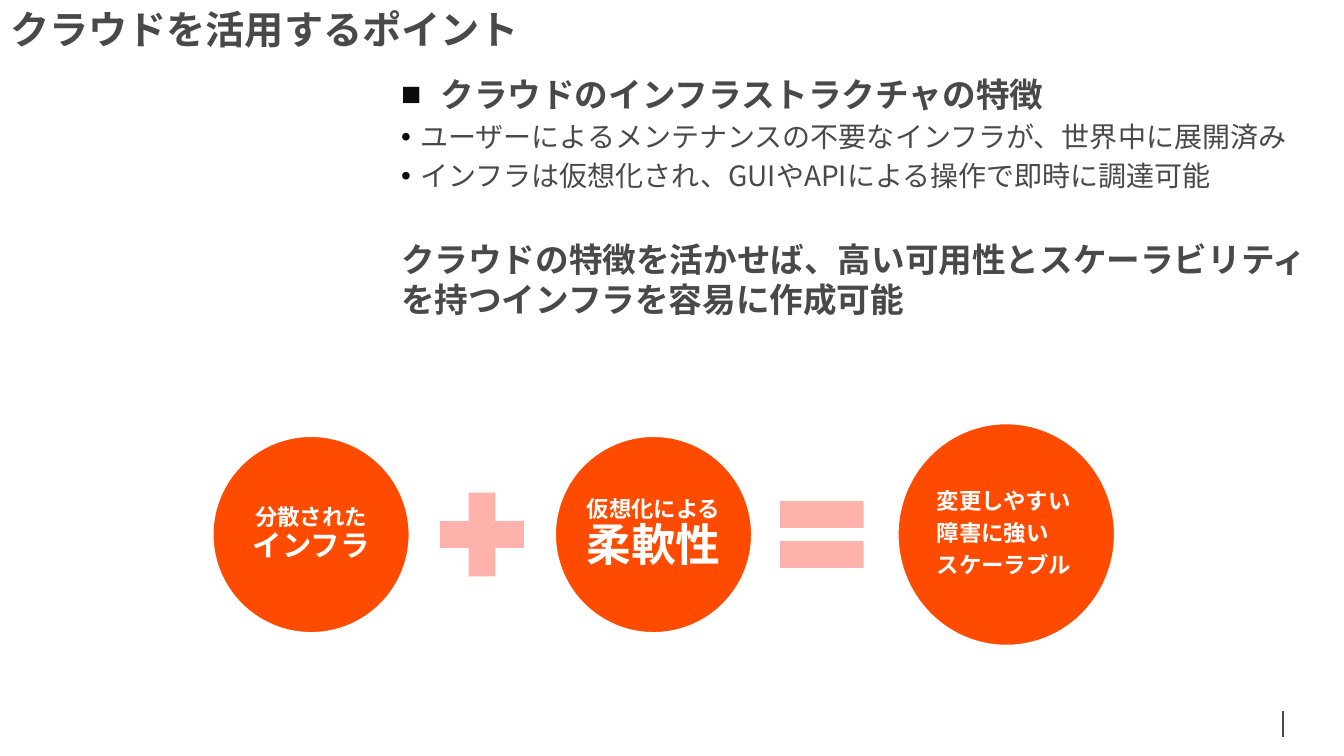
"""Build a slide on the key points of using the cloud."""
from dataclasses import dataclass
from math import sqrt

from lxml.etree import SubElement
from pptx import Presentation
from pptx.dml.color import RGBColor
from pptx.enum.lang import MSO_LANGUAGE_ID as Language
from pptx.enum.shapes import MSO_CONNECTOR as Connector, MSO_SHAPE as Shape
from pptx.enum.text import MSO_ANCHOR as Anchor, MSO_AUTO_SIZE as AutoSize, PP_ALIGN as Align
from pptx.oxml.ns import qn
from pptx.util import Cm, Pt


@dataclass(frozen=True)
class Theme:
    """Colours, font and type sizes in points."""
    font: str = "Noto Sans CJK JP"
    ink: str = "494949"
    bullet: str = "0C0C0C"
    accent: str = "FF4B00"
    operator: str = "FFB2AB"
    white: str = "FFFFFF"
    title: int = 28
    heading: int = 24
    body: int = 20
    label: int = 16
    label_medium: int = 21
    label_large: int = 32


class SlideBuilder:
    """Adds styled elements to one slide."""

    def __init__(self, slide, theme):
        self.slide = slide
        self.theme = theme

    def place(self, box, left, top, width, height):
        box.left, box.top, box.width, box.height = (
            Cm(length) for length in (left, top, width, height))

    def frame(self, box, anchor, margins=None):
        frame = box.text_frame
        frame.word_wrap = True
        frame.auto_size = AutoSize.NONE
        frame.vertical_anchor = anchor
        if margins:
            (frame.margin_left, frame.margin_top,
             frame.margin_right, frame.margin_bottom) = (Cm(margin) for margin in margins)
        return frame

    def paragraph(self, frame, index, text, size, color, bold=True,
                  align=Align.LEFT, spacing=0.9, before=0):
        para = frame.add_paragraph() if index else frame.paragraphs[0]
        para.alignment = align
        para.line_spacing = spacing
        para.space_before = Pt(before if index else 0)
        para.space_after = Pt(0)
        span = para.add_run()
        span.text = text
        font = span.font
        font.name = self.theme.font
        font.size = Pt(size)
        font.bold = bold
        font.color.rgb = RGBColor.from_string(color)
        font.language_id = Language.JAPANESE
        latin = font._element.find(qn("a:latin"))
        east_asian = font._element.makeelement(qn("a:ea"), {"typeface": self.theme.font})
        latin.addnext(east_asian)
        return para

    def bullet(self, para, mark, indent):
        properties = para._p.get_or_add_pPr()
        properties.set("marL", str(Cm(indent)))
        properties.set("indent", str(-Cm(indent)))
        if mark:
            color = SubElement(properties, qn("a:buClr"))
            SubElement(color, qn("a:srgbClr"), val=self.theme.bullet)
            SubElement(properties, qn("a:buChar"), char=mark)
        else:
            SubElement(properties, qn("a:buNone"))

    def title(self, text, *bounds):
        box = self.slide.shapes.title
        self.place(box, *bounds)
        frame = self.frame(box, Anchor.MIDDLE)
        self.paragraph(frame, 0, text, self.theme.title, self.theme.ink)

    def body(self, items, *bounds):
        box = self.slide.placeholders[1]
        self.place(box, *bounds)
        frame = self.frame(box, Anchor.TOP, (0.25, 0.13, 0.25, 0.13))
        for index, (text, size, bold, mark, indent, before) in enumerate(items):
            para = self.paragraph(frame, index, text, size, self.theme.ink,
                                  bold=bold, spacing=1.0, before=before)
            self.bullet(para, mark, indent)

    def shape(self, kind, color, center_x, center_y, width, height):
        shape = self.slide.shapes.add_shape(
            kind, Cm(center_x - width / 2), Cm(center_y - height / 2), Cm(width), Cm(height))
        shape.shadow.inherit = False
        shape.fill.solid()
        shape.fill.fore_color.rgb = RGBColor.from_string(color)
        shape.line.fill.background()
        return shape

    def circle(self, lines, center_x, center_y, width, height, align, before=0, inset=0):
        circle = self.shape(Shape.OVAL, self.theme.accent, center_x, center_y, width, height)
        circle.line.color.rgb = RGBColor.from_string(self.theme.white)
        circle.line.width = Pt(1)
        inner_width, inner_height = width / sqrt(2), height / sqrt(2)
        box = self.slide.shapes.add_textbox(
            Cm(center_x - inner_width / 2), Cm(center_y - inner_height / 2),
            Cm(inner_width), Cm(inner_height))
        frame = self.frame(box, Anchor.MIDDLE, (inset, 0.05, 0, 0.05))
        for index, (text, size) in enumerate(lines):
            self.paragraph(frame, index, text, size, self.theme.white,
                           align=align, before=before)

    def line(self, x, top, bottom):
        line = self.slide.shapes.add_connector(
            Connector.STRAIGHT, Cm(x), Cm(top), Cm(x), Cm(bottom))
        line.line.color.rgb = RGBColor.from_string(self.theme.ink)
        line.line.width = Pt(1)
        SubElement(line._element.spPr, qn("a:effectLst"))


def main():
    theme = Theme()
    deck = Presentation()
    deck.slide_width, deck.slide_height = Cm(33.87), Cm(19.05)
    page = SlideBuilder(deck.slides.add_slide(deck.slide_layouts[1]), theme)

    page.line(32.33, 17.91, 18.57)
    page.title("クラウドを活用するポイント", 0, 0, 30.61, 1.6)
    page.body([
        ("クラウドのインフラストラクチャの特徴", theme.heading, True, "■", 0.99, 0),
        ("ユーザーによるメンテナンスの不要なインフラが、世界中に展開済み",
         theme.body, False, "•", 0.48, 4),
        ("インフラは仮想化され、GUIやAPIによる操作で即時に調達可能",
         theme.body, False, "•", 0.48, 4),
        ("クラウドの特徴を活かせば、高い可用性とスケーラビリティを持つインフラを容易に作成可能",
         theme.heading, True, None, 0, 33),
    ], 9.86, 1.73, 24, 7.34)

    middle = 13.47
    causes = [
        (7.84, "分散された", "インフラ", theme.label_medium, 12.15, Shape.MATH_PLUS),
        (16.47, "仮想化による", "柔軟性", theme.label_large, 20.71, Shape.MATH_EQUAL),
    ]
    for center, lead, keyword, size, operator_center, operator in causes:
        page.circle([(lead, theme.label), (keyword, size)],
                    center, middle, 4.95, 4.95, Align.CENTER)
        page.shape(operator, theme.operator, operator_center, middle, 2.87, 2.87)
    results = ["変更しやすい", "障害に強い", "スケーラブル"]
    page.circle([(text, theme.label) for text in results],
                25.36, middle, 5.46, 5.59, Align.LEFT, before=5.6, inset=0.18)

    deck.save("out.pptx")


if __name__ == "__main__":
    main()
